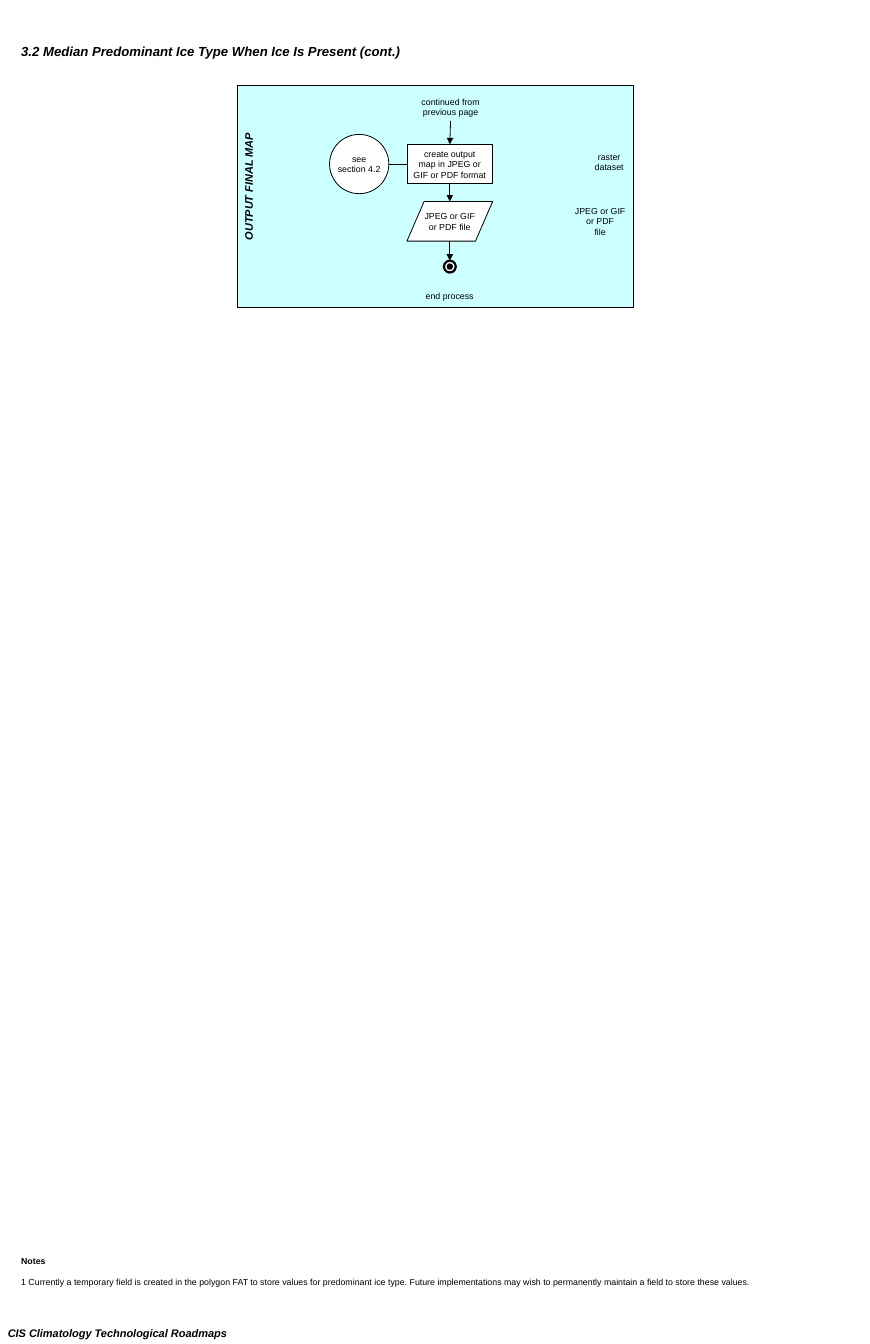
from lxml import etree
from pptx import Presentation
from pptx.dml.color import RGBColor
from pptx.enum import shapes as sh, text as tx
from pptx.oxml.ns import qn
from pptx.util import Pt

BLACK, WHITE, CYAN = "000000", "FFFFFF", "CCFFFF"
LEFT, MID = tx.PP_ALIGN.LEFT, tx.PP_ALIGN.CENTER
KIND = sh.MSO_SHAPE

AXIS = 409.5  # centre of the flow
STEP_W, STEP_H = 78, 36
STEP_X = AXIS - STEP_W / 2
MAP_Y, FILE_Y, END_Y = 131.5, 183.6, 237.4
REF_X, REF_D, END_D, DOT_D = 300, 54, 10.8, 5


def color(code):
    return RGBColor.from_string(code)


def write(shape, words, size=8, bold=False, italic=False, align=MID):
    """Fill the shape with one paragraph for each line of words."""
    frame = shape.text_frame
    frame.text = words
    for para in frame.paragraphs:
        para.alignment = align
        for run in para.runs:
            font = run.font
            font.name, font.size = "Arial", Pt(size)
            font.bold, font.italic = bold, italic
            font.color.rgb = color(BLACK)
    return frame


def label(shapes, box, words, wrap=False, **style):
    shape = shapes.add_textbox(*map(Pt, box))
    write(shape, words, **style).word_wrap = wrap
    return shape


def node(shapes, kind, box, words="", fill=WHITE, width=0.75):
    shape = shapes.add_shape(kind, *map(Pt, box))
    shape.shadow.inherit = False
    shape.fill.solid()
    shape.fill.fore_color.rgb = color(fill)
    shape.line.color.rgb = color(BLACK)
    shape.line.width = Pt(width)
    if words:
        frame = write(shape, words)
        frame.word_wrap = False
        frame.vertical_anchor = tx.MSO_ANCHOR.MIDDLE


def link(shapes, start, end, arrow=True):
    line = shapes.add_connector(sh.MSO_CONNECTOR.STRAIGHT, *map(Pt, start + end))
    line.line.color.rgb = color(BLACK)
    line.line.width = Pt(0.75)
    props = line._element.spPr
    if arrow:
        etree.SubElement(props.find(qn("a:ln")), qn("a:tailEnd"), type="triangle")
    etree.SubElement(props, qn("a:effectLst"))


def finish(shapes):
    """Draw the bullseye that ends the flow, with its caption."""
    group = shapes.add_group_shape().shapes
    centre = END_Y + END_D / 2
    for size, fill, width in ((END_D, WHITE, 2), (DOT_D, BLACK, 0.75)):
        box = (AXIS - size / 2, centre - size / 2, size, size)
        node(group, KIND.OVAL, box, fill=fill, width=width)
    label(group, (380.4, 261.2, 58.3, 16.8), "end process", align=LEFT)


def flow(shapes):
    node(shapes, KIND.RECTANGLE, (216.4, 77.6, 360.3, 202.4), fill=CYAN)
    finish(shapes)
    node(shapes, KIND.FLOWCHART_PROCESS, (STEP_X, MAP_Y, STEP_W, STEP_H),
         "create output\nmap in JPEG or\nGIF or PDF format")
    node(shapes, KIND.FLOWCHART_DATA, (STEP_X, FILE_Y, STEP_W, STEP_H),
         "JPEG or GIF\nor PDF file")
    node(shapes, KIND.OVAL, (REF_X, 122.4, REF_D, REF_D), "see\nsection 4.2")

    ref_y = MAP_Y + STEP_H / 2
    link(shapes, (REF_X + REF_D, ref_y), (STEP_X, ref_y), arrow=False)
    link(shapes, (AXIS + 0.7, 110.2), (AXIS, MAP_Y))
    link(shapes, (AXIS, MAP_Y + STEP_H), (AXIS, FILE_Y))
    link(shapes, (AXIS, FILE_Y + STEP_H), (AXIS, END_Y))

    label(shapes, (374.3, 84.2, 72, 26.6), "continued from\nprevious page")
    label(shapes, (530.6, 134.6, 48, 26.6), "raster\ndataset")
    label(shapes, (514.4, 183.6, 64, 36), "JPEG or GIF\nor PDF\nfile")
    side = label(shapes, (151.2, 160.3, 150.5, 19.4), "OUTPUT FINAL MAP",
                 wrap=True, size=10, bold=True, italic=True)
    side.rotation = 270


def notes(shapes):
    box = label(shapes, (12.2, 1139.8, 768.2, 36),
                "Notes\n1 Currently a temporary field is created in the polygon FAT "
                "to store values for predominant ice type. Future implementations "
                "may wish to permanently maintain a field to store these values.",
                wrap=True, align=LEFT)
    head, body = box.text_frame.paragraphs
    head.runs[0].font.bold = True
    body.space_before = Pt(10)


def main():
    deck = Presentation()
    deck.slide_width, deck.slide_height = Pt(792), Pt(1224)
    shapes = deck.slides.add_slide(deck.slide_layouts[6]).shapes
    title = dict(bold=True, italic=True, align=LEFT)
    label(shapes, (12.2, 36, 360.7, 21.6),
          "3.2 Median Predominant Ice Type When Ice Is Present (cont.)", size=12, **title)
    flow(shapes)
    notes(shapes)
    label(shapes, (0, 1204.6, 213.8, 19.4),
          "CIS Climatology Technological Roadmaps", size=10, **title)
    deck.save("out.pptx")


if __name__ == "__main__":
    main()
